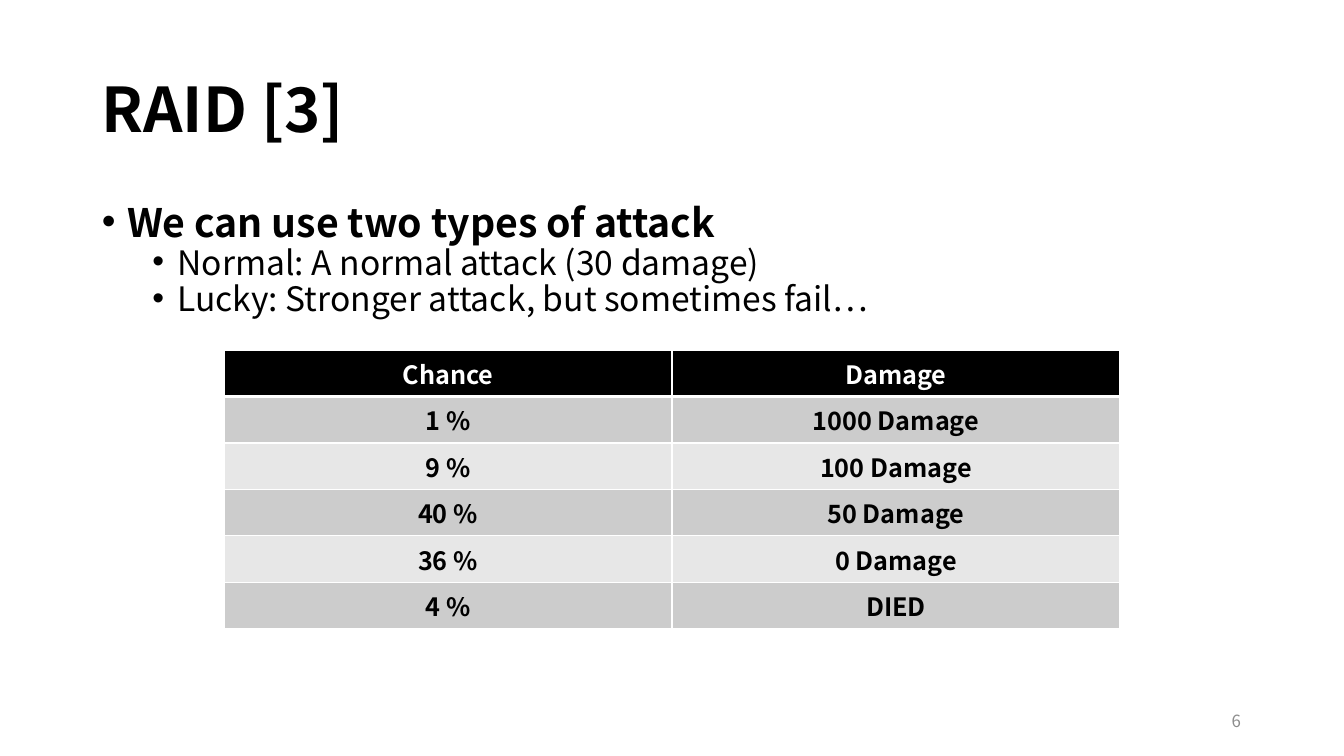
from lxml import etree
from pptx import Presentation, util as u
from pptx.dml.color import RGBColor
from pptx.enum import text as t
from pptx.oxml.ns import qn

PX = 914400 / 100.8
FONT = "Noto Sans CJK KR"
BLACK = RGBColor(0x00, 0x00, 0x00)
WHITE = RGBColor(0xFF, 0xFF, 0xFF)
GRAY = RGBColor(0x8C, 0x8C, 0x8C)
BAND_DARK = RGBColor(0xCC, 0xCC, 0xCC)
BAND_LIGHT = RGBColor(0xE7, 0xE7, 0xE7)

ATTACKS = [
    ("We can use two types of attack", 0),
    ("Normal: A normal attack (30 damage)", 1),
    ("Lucky: Stronger attack, but sometimes fail…", 1),
]
OUTCOMES = [
    ("Chance", "Damage"),
    ("1 %", "1000 Damage"),
    ("9 %", "100 Damage"),
    ("40 %", "50 Damage"),
    ("36 %", "0 Damage"),
    ("4 %", "DIED"),
]


def px(length):
    """Turn pixels into EMU."""
    return u.Emu(round(length * PX))


def write(paragraph, words, *, size, color=BLACK, bold=False,
          align=t.PP_ALIGN.LEFT, spacing=1.0, before=0):
    """Fill a paragraph with one formatted run."""
    paragraph.alignment = align
    paragraph.line_spacing = spacing
    paragraph.space_before = u.Pt(before)
    run = paragraph.add_run()
    run.text = words
    run.font.name = FONT
    run.font.size = u.Pt(size)
    run.font.bold = bold
    run.font.color.rgb = color
    east_asian = etree.SubElement(run.font._element, qn("a:ea"))
    east_asian.set("typeface", FONT)


def add_frame(slide, box, anchor):
    """Add a wrapping text box and return its text frame."""
    frame = slide.shapes.add_textbox(*map(px, box)).text_frame
    frame.word_wrap = True
    frame.vertical_anchor = anchor
    return frame


def add_title(slide, box, words):
    """Add the slide heading."""
    frame = add_frame(slide, box, t.MSO_ANCHOR.MIDDLE)
    write(frame.paragraphs[0], words, size=44, bold=True, spacing=0.9)


def add_attacks(slide, box, attacks):
    """Add the two-level bullet list of attacks."""
    frame = add_frame(slide, box, t.MSO_ANCHOR.TOP)
    for index, (words, level) in enumerate(attacks):
        line = frame.add_paragraph() if index else frame.paragraphs[0]
        line.level = level
        write(line, words, size=28 - 4 * level, bold=level == 0,
              spacing=0.8, before=3.3 * level)
        properties = line._p.get_or_add_pPr()
        properties.set("marL", str(u.Inches(0.25 + 0.5 * level)))
        properties.set("indent", str(u.Inches(-0.25)))
        etree.SubElement(properties, qn("a:buFont")).set("typeface", "Arial")
        etree.SubElement(properties, qn("a:buChar")).set("char", "•")


def add_borders(cell, bottom, top):
    """Draw white borders around a cell, with widths in points."""
    properties = cell._tc.get_or_add_tcPr()
    widths = {"a:lnL": 1, "a:lnR": 1, "a:lnT": top, "a:lnB": bottom}
    for place, (tag, width) in enumerate(widths.items()):
        border = etree.Element(qn(tag), w=str(u.Pt(width)))
        fill = etree.SubElement(border, qn("a:solidFill"))
        etree.SubElement(fill, qn("a:srgbClr")).set("val", str(WHITE))
        properties.insert(place, border)


def add_outcomes(slide, box, outcomes):
    """Add the banded table of lucky attack outcomes."""
    table = slide.shapes.add_table(
        len(outcomes), len(outcomes[0]), *map(px, box)).table
    for row, values in enumerate(outcomes):
        header = row == 0
        band = BAND_DARK if row % 2 else BAND_LIGHT
        for column, value in enumerate(values):
            cell = table.cell(row, column)
            cell.fill.solid()
            cell.fill.fore_color.rgb = BLACK if header else band
            cell.vertical_anchor = (
                t.MSO_ANCHOR.TOP if header else t.MSO_ANCHOR.MIDDLE)
            add_borders(cell, bottom=3 if header else 1,
                        top=3 if row == 1 else 1)
            write(cell.text_frame.paragraphs[0], value, size=18, bold=True,
                  color=WHITE if header else BLACK, align=t.PP_ALIGN.CENTER)


def add_page_number(slide, box, number):
    """Add the page number at the right of its box."""
    frame = add_frame(slide, box, t.MSO_ANCHOR.MIDDLE)
    write(frame.paragraphs[0], number, size=12, color=GRAY,
          align=t.PP_ALIGN.RIGHT)


def build():
    """Build and save the slide."""
    deck = Presentation()
    deck.slide_width, deck.slide_height = px(1344), px(756)
    slide = deck.slides.add_slide(deck.slide_layouts[6])
    add_title(slide, (92, 40, 1159, 146), "RAID [3]")
    add_attacks(slide, (92, 202, 1159, 480), ATTACKS)
    add_page_number(slide, (949, 701, 302, 40), "6")
    add_outcomes(slide, (224, 350, 896, 279), OUTCOMES)
    deck.save("out.pptx")


build()
